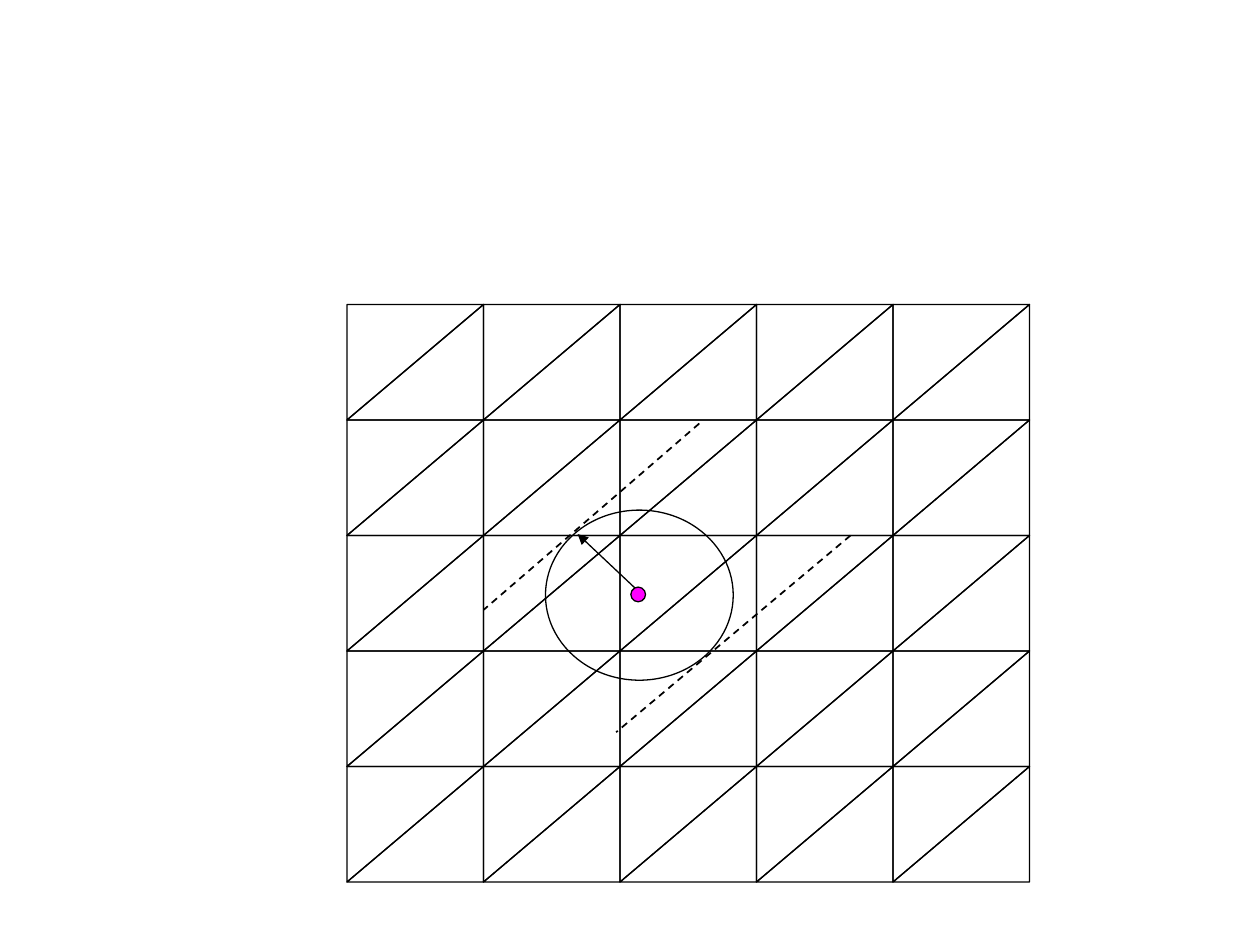
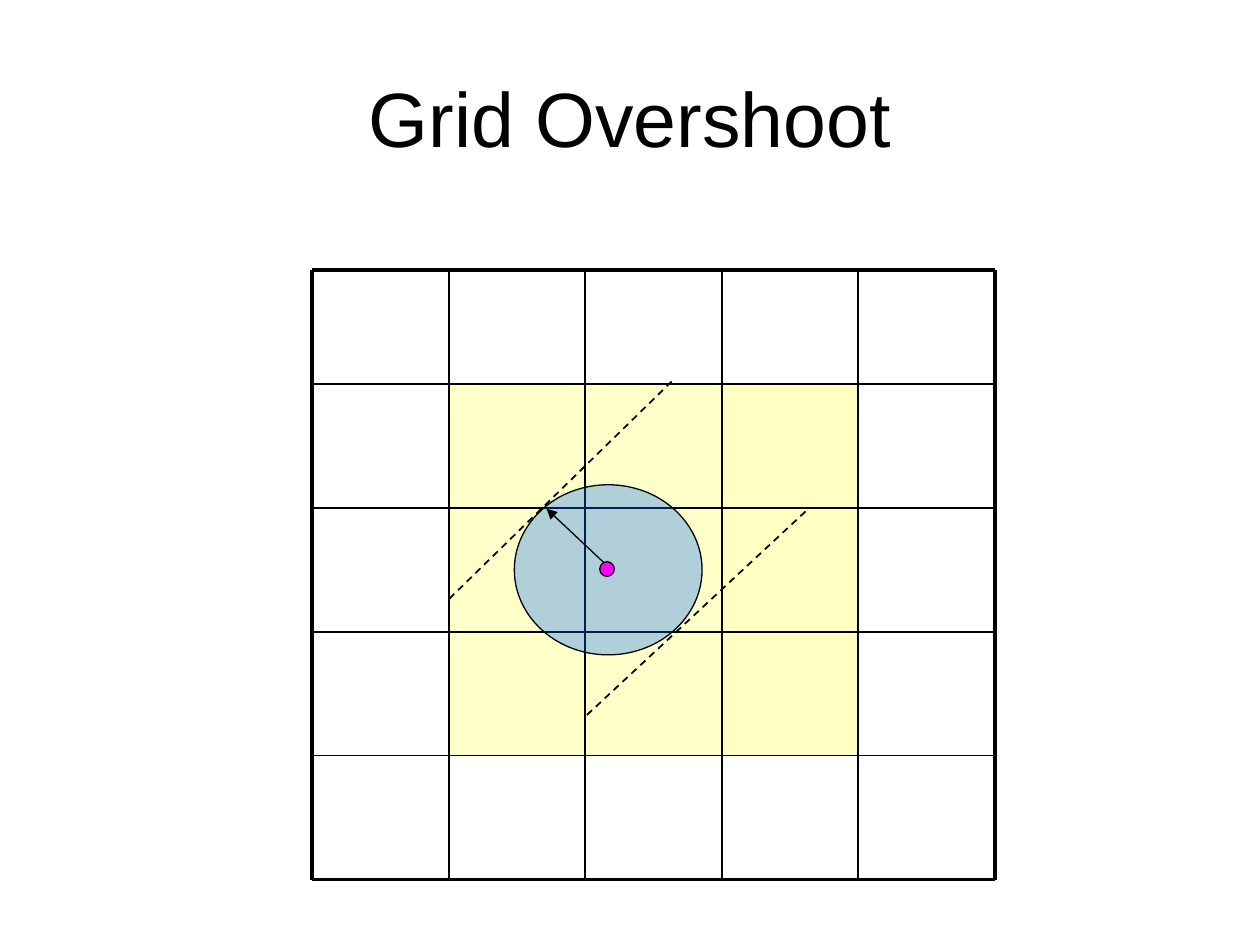
from itertools import product

from lxml import etree
from pptx import Presentation
from pptx.dml.color import RGBColor
from pptx.enum import dml, shapes, text
from pptx.oxml.ns import qn
from pptx.util import Pt

BLACK, MAGENTA, YELLOW, BLUE = "000000", "FF00FF", "FFFF66", "0066FF"
THIN, MEDIUM, THICK = 0.75, 1, 2.25
TITLE_ONLY, BLANK = 5, 6
CELLS = 5
CELL_WIDTH = 78


def colour(value):
    return RGBColor.from_string(value)


class Sketch:
    """Holds the deck, the current page and the drawing style."""

    def __init__(self):
        self.deck = Presentation()
        self.deck.slide_width, self.deck.slide_height = Pt(720), Pt(540)

    def add_page(self, layout):
        self.page = self.deck.slides.add_slide(self.deck.slide_layouts[layout])
        self.canvas = self.page.shapes

    def begin_group(self):
        self.canvas = self.page.shapes.add_group_shape().shapes

    def end_group(self):
        self.canvas = self.page.shapes

    def title(self, words):
        box = self.page.shapes.title
        place = {"left": 36, "top": 21.6, "width": 648, "height": 90}
        for name, value in place.items():
            setattr(box, name, Pt(value))
        frame = box.text_frame
        frame.text = words
        frame.vertical_anchor = text.MSO_ANCHOR.MIDDLE
        para = frame.paragraphs[0]
        para.alignment = text.PP_ALIGN.CENTER
        span = para.runs[0]
        for name, value in {"name": "Arial", "size": Pt(44)}.items():
            setattr(span.font, name, value)
        span.font.color.rgb = colour(BLACK)

    def shape(self, kind, left, top, width, height, fill=None, opacity=100,
              line=THIN, rotation=0):
        figure = self.canvas.add_shape(
            kind, Pt(left), Pt(top), Pt(width), Pt(height))
        figure.rotation = rotation
        figure.shadow.inherit = False
        if fill:
            figure.fill.solid()
            figure.fill.fore_color.rgb = colour(fill)
            if opacity < 100:
                tint = figure._element.spPr.find(
                    f"{qn('a:solidFill')}/{qn('a:srgbClr')}")
                etree.SubElement(tint, qn("a:alpha"), val=str(opacity * 1000))
        else:
            figure.fill.background()
        if line:
            figure.line.color.rgb = colour(BLACK)
            figure.line.width = Pt(line)
        else:
            figure.line.fill.background()

    def line(self, start, end, width=MEDIUM, dashed=False, arrow=False):
        stroke = self.canvas.add_connector(
            shapes.MSO_CONNECTOR.STRAIGHT, *map(Pt, (*start, *end)))
        stroke.line.color.rgb = colour(BLACK)
        stroke.line.width = Pt(width)
        if dashed:
            stroke.line.dash_style = dml.MSO_LINE.DASH
        properties = stroke._element.spPr
        if arrow:
            etree.SubElement(properties.find(qn("a:ln")), qn("a:tailEnd"),
                             type="triangle")
        etree.SubElement(properties, qn("a:effectLst"))

    def search_circle(self, left, top, fill=None, opacity=100):
        """Circle with a radius arrow and a dot at its centre."""
        oval = shapes.MSO_SHAPE.OVAL
        self.begin_group()
        self.shape(oval, left, top, 107.3, 97.2, fill, opacity)
        self.line((left + 53.6, top + 46.8), (left + 18.4, top + 13.7),
                  THIN, arrow=True)
        self.end_group()
        self.shape(oval, left + 48.8, top + 44, 8.4, 8.4, MAGENTA)

    def tangents(self, *pairs):
        for start, end in pairs:
            self.line(start, end, dashed=True)

    def triangle_mesh(self, left, top, cell_height):
        """Split each cell into two right triangles turned on their sides."""
        shift = (CELL_WIDTH - cell_height) / 2
        self.begin_group()
        for row, column, rotation in product(
                range(CELLS), range(CELLS), (270, 90)):
            self.shape(shapes.MSO_SHAPE.RIGHT_TRIANGLE,
                       left + column * CELL_WIDTH + shift,
                       top + row * cell_height - shift,
                       cell_height, CELL_WIDTH, rotation=rotation)
        self.end_group()

    def grid_lines(self, columns, rows):
        for index in range(CELLS + 1):
            width = THICK if index in (0, CELLS) else MEDIUM
            self.line((columns[0], rows[index]), (columns[-1], rows[index]),
                      width)
            self.line((columns[index], rows[0]), (columns[index], rows[-1]),
                      width)


def draw_mesh_page(sketch):
    sketch.add_page(BLANK)
    sketch.triangle_mesh(left=198.3, top=174, cell_height=66)
    sketch.search_circle(311.7, 291.5)
    sketch.tangents(((399.6, 242), (276.5, 348.4)),
                    ((486, 306), (352.1, 418.4)))


def draw_overshoot_page(sketch):
    sketch.add_page(TITLE_ONLY)
    sketch.title("Grid Overshoot")
    row_height = 70.8
    columns = [178.5 + CELL_WIDTH * index for index in range(CELLS + 1)]
    rows = [154.5] + [219.4 + row_height * index for index in range(CELLS)]
    for row, column in product((1, 2, 3), repeat=2):
        sketch.shape(shapes.MSO_SHAPE.RECTANGLE, columns[column], rows[row],
                     CELL_WIDTH, row_height, YELLOW,
                     opacity=40 if column == 3 else 35, line=None)
    sketch.grid_lines(columns, rows)
    sketch.search_circle(293.9, 277, BLUE, opacity=31)
    sketch.tangents(((383.8, 218), (256.5, 342.4)),
                    ((460.3, 292.3), (334.4, 409.5)))


def main():
    sketch = Sketch()
    draw_mesh_page(sketch)
    draw_overshoot_page(sketch)
    sketch.deck.save("out.pptx")


if __name__ == "__main__":
    main()
